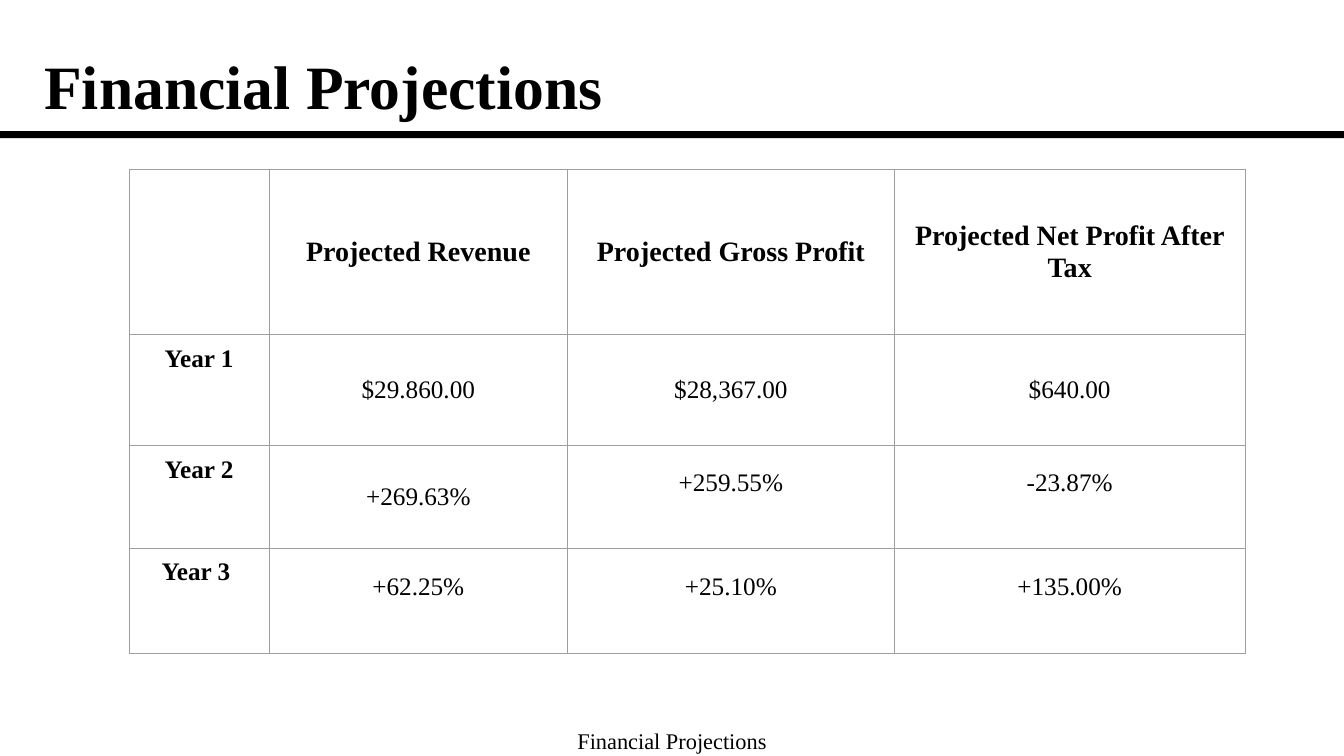
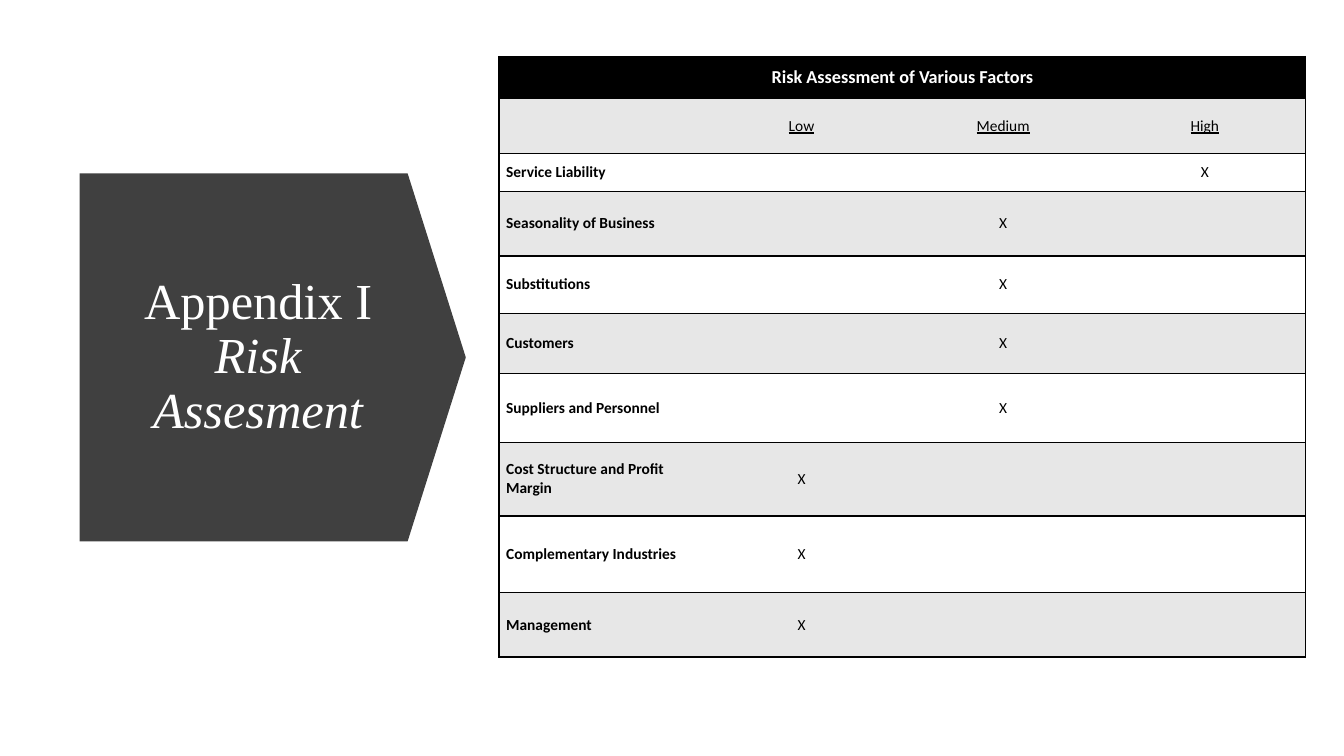
from lxml import etree
from pptx import Presentation
from pptx.dml.color import RGBColor
from pptx.enum.shapes import MSO_SHAPE
from pptx.enum.text import MSO_ANCHOR, MSO_AUTO_SIZE, PP_ALIGN
from pptx.oxml.ns import qn
from pptx.util import Inches, Pt

RECTANGLE, DOWN_ARROW = MSO_SHAPE.RECTANGLE, MSO_SHAPE.DOWN_ARROW
TOP, MIDDLE = MSO_ANCHOR.TOP, MSO_ANCHOR.MIDDLE
LEFT, CENTER = PP_ALIGN.LEFT, PP_ALIGN.CENTER
NO_AUTOFIT = MSO_AUTO_SIZE.NONE

BLACK = RGBColor(0x00, 0x00, 0x00)
WHITE = RGBColor(0xFF, 0xFF, 0xFF)
CHARCOAL = RGBColor(0x40, 0x40, 0x40)
BAND = RGBColor(0xE7, 0xE7, 0xE7)
GRID = RGBColor(0x9E, 0x9E, 0x9E)

SERIF, SANS = "Times New Roman", "Calibri"
PLAIN_TABLE = "{2D5ABB26-0587-4C30-8999-92F81FD0307C}"
TITLE_ONLY = 5


class Deck:
    def __init__(self):
        self.prs = Presentation()
        self.prs.slide_width = Inches(13.33)
        self.prs.slide_height = Inches(7.5)
        self.s = None

    def slide(self):
        self.s = self.prs.slides.add_slide(self.prs.slide_layouts[TITLE_ONLY])

    def style(self, p, size, font=SERIF, color=BLACK, bold=False, align=CENTER):
        p.alignment = align
        for r in p.runs:
            r.font.size = Pt(size)
            r.font.name = font
            r.font.color.rgb = color
            r.font.bold = bold

    def title(self, box, text, size, emphasis="", **look):
        sp = self.s.shapes.title
        sp.left, sp.top, sp.width, sp.height = map(Inches, box)
        sp.element.getparent().append(sp.element)
        tf = sp.text_frame
        tf.text = text
        tf.auto_size = NO_AUTOFIT
        tf.word_wrap = True
        tf.vertical_anchor = MIDDLE
        p = tf.paragraphs[0]
        p.line_spacing = 0.9
        if emphasis:
            r = p.add_run()
            r.text = emphasis
            r.font.italic = True
        self.style(p, size, **look)

    def text(self, box, text, size):
        tf = self.s.shapes.add_textbox(*map(Inches, box)).text_frame
        tf.word_wrap = True
        tf.text = text
        self.style(tf.paragraphs[0], size)

    def shape(self, kind, box, color, rotation=0, adjustments=()):
        sp = self.s.shapes.add_shape(kind, *map(Inches, box))
        sp.shadow.inherit = False
        sp.rotation = rotation
        for i, value in enumerate(adjustments):
            sp.adjustments[i] = value
        sp.fill.solid()
        sp.fill.fore_color.rgb = color
        sp.line.fill.background()

    def table(self, left, top, widths, heights):
        frame = self.s.shapes.add_table(
            len(heights), len(widths), Inches(left), Inches(top),
            Inches(sum(widths)), Inches(sum(heights)))
        table = frame.table
        table.first_row = table.horz_banding = False
        frame.element.find(".//" + qn("a:tableStyleId")).text = PLAIN_TABLE
        for column, width in zip(table.columns, widths):
            column.width = Inches(width)
        for row, height in zip(table.rows, heights):
            row.height = Inches(height)
        return table

    def cell(self, cell, text, size, margins, anchor=MIDDLE, **look):
        (cell.margin_left, cell.margin_top,
         cell.margin_right, cell.margin_bottom) = map(Inches, margins)
        cell.vertical_anchor = anchor
        cell.text = text
        self.style(cell.text_frame.paragraphs[0], size, **look)

    def borders(self, cell, sides, color, width):
        tcPr = cell._tc.get_or_add_tcPr()
        for side in sides:
            ln = etree.SubElement(tcPr, qn("a:ln" + side), w=str(Pt(width)))
            fill = etree.SubElement(ln, qn("a:solidFill"))
            etree.SubElement(fill, qn("a:srgbClr"), val=str(color))

    def fill(self, cell, color):
        cell.fill.solid()
        cell.fill.fore_color.rgb = color


def projections(deck):
    deck.slide()
    deck.title((0.34, 0.16, 11.5, 1.45), "Financial Projections", 44,
               bold=True, align=LEFT)
    deck.text((4.59, 7.16, 4.15, 0.34), "Financial Projections", 16)
    deck.shape(RECTANGLE, (0, 1.3, 13.33, 0.07), BLACK)
    rows = [
        ("", "Projected Revenue", "Projected Gross Profit",
         "Projected Net Profit After Tax"),
        ("Year 1", "$29.860.00", "$28,367.00", "$640.00"),
        ("Year 2", "+269.63%", "+259.55%", "-23.87%"),
        ("Year 3 ", "+62.25%", "+25.10%", "+135.00%"),
    ]
    raised = {(2, 2), (2, 3), (3, 1), (3, 2), (3, 3)}
    table = deck.table(1.28, 1.68, (1.39, 2.96, 3.24, 3.48),
                       (1.64, 1.1, 1.02, 1.04))
    for i, row in enumerate(rows):
        for j, text in enumerate(row):
            cell = table.cell(i, j)
            bottom = 0.37 if (i, j) in raised else 0.1
            deck.cell(cell, text, 18 if i else 20, (0.1, 0.1, 0.1, bottom),
                      anchor=MIDDLE if j else TOP, bold=i == 0 or j == 0)
            deck.borders(cell, "LRTB", GRID, 0.75)


def risk_assessment(deck):
    deck.slide()
    deck.shape(DOWN_ARROW, (0.88, 1.63, 3.65, 3.83), CHARCOAL, 270, (1, 0.158))
    deck.title((1.12, 2.15, 2.88, 2.79), "Appendix I ", 36,
               emphasis="Risk Assesment", color=WHITE)
    levels = ("Low", "Medium", "High")
    risks = [
        ("Service Liability", "High"),
        ("Seasonality of Business", "Medium"),
        ("Substitutions", "Medium"),
        ("Customers", "Medium"),
        ("Suppliers and Personnel", "Medium"),
        ("Cost Structure and Profit Margin", "Low"),
        ("Complementary Industries", "Low"),
        ("Management", "Low"),
    ]
    rows = [("Risk Assessment of Various Factors", "", "", ""), ("", *levels)]
    rows += [(name, *("X" if level == rating else "" for level in levels))
             for name, rating in risks]
    table = deck.table(4.95, 0.56, (2, 2, 2, 2),
                       (0.42, 0.54, 0.38, 0.64, 0.57, 0.6, 0.68, 0.73, 0.76, 0.64))
    table.cell(0, 0).merge(table.cell(0, 3))
    for i, row in enumerate(rows):
        heading = i == 0
        for j, text in enumerate(row):
            cell = table.cell(i, j)
            deck.cell(cell, text, 13 if heading else 11, (0.07, 0, 0.07, 0),
                      font=SANS, color=WHITE if heading else BLACK,
                      bold=j == 0, align=CENTER if heading or j else LEFT)
            if i == 1:
                for r in cell.text_frame.paragraphs[0].runs:
                    r.font.underline = True
            sides = ("L" if j == 0 else "") + ("R" if heading or j == 3 else "")
            deck.borders(cell, sides + "TB", BLACK, 1)
            deck.fill(cell, BLACK if heading else BAND if i % 2 else WHITE)


def main():
    deck = Deck()
    projections(deck)
    risk_assessment(deck)
    deck.prs.save("out.pptx")


if __name__ == "__main__":
    main()
